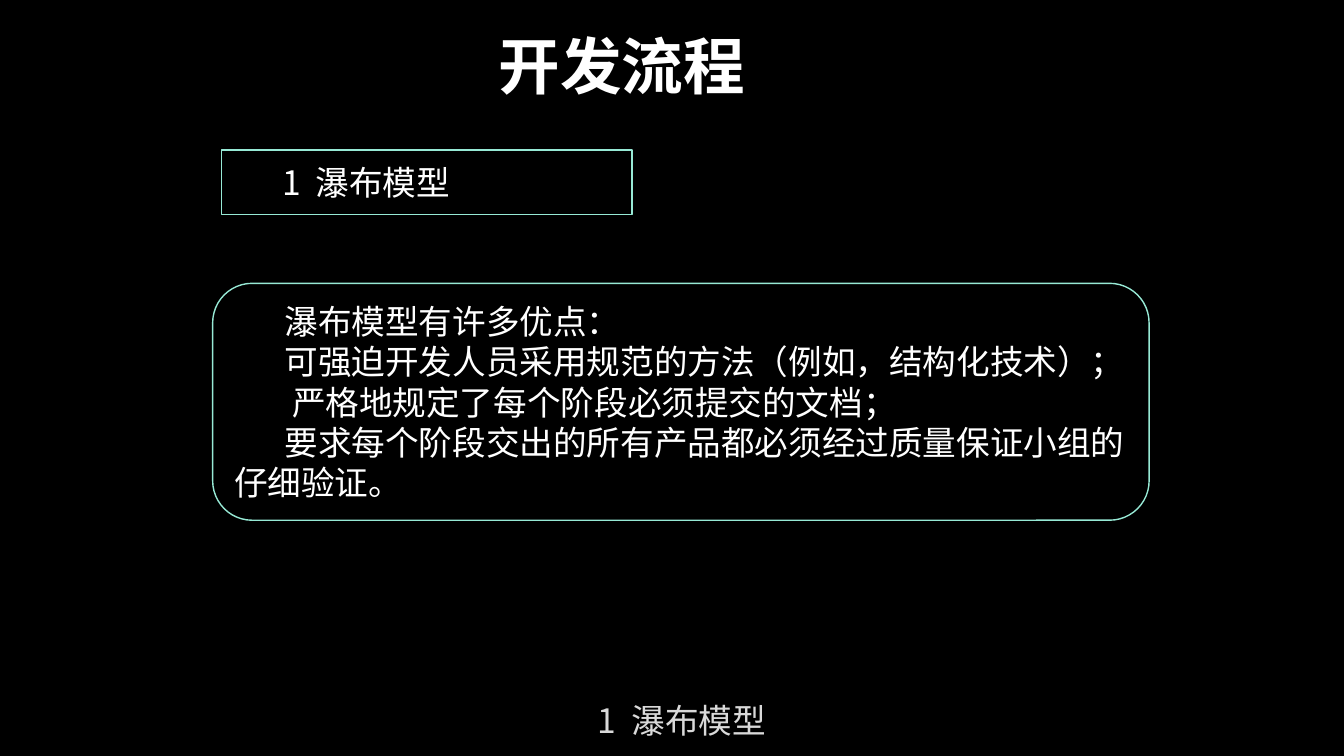
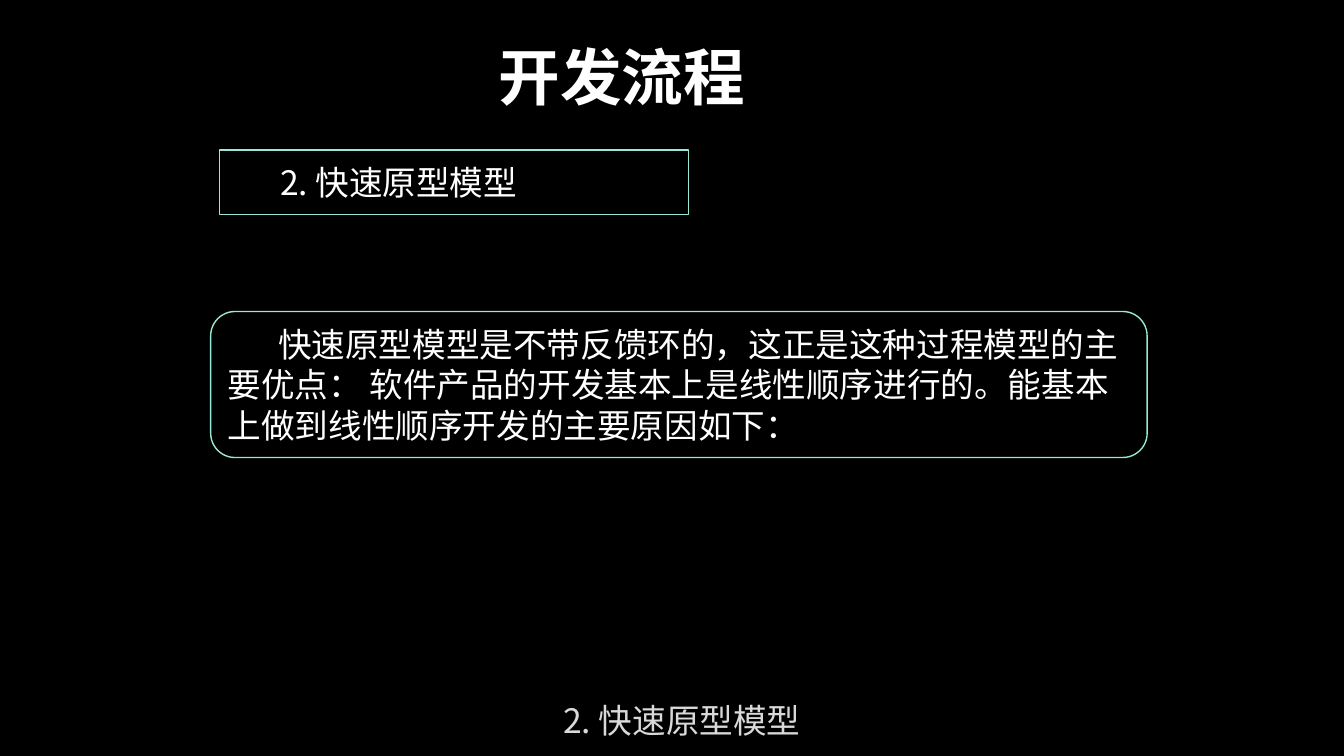
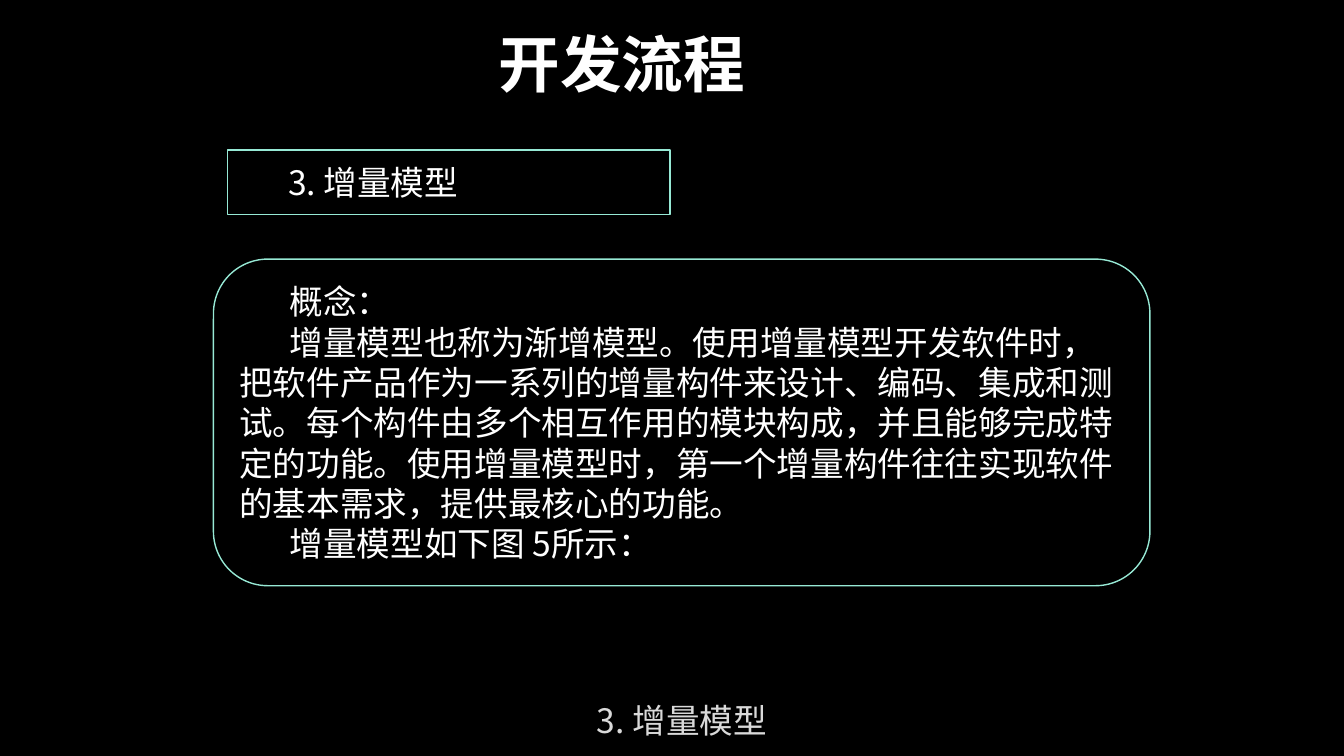
from pptx import Presentation
from pptx.dml.color import RGBColor
from pptx.enum.shapes import MSO_SHAPE
from pptx.enum.text import MSO_ANCHOR, PP_ALIGN
from pptx.oxml.xmlchemy import OxmlElement
from pptx.util import Cm, Pt

RECTANGLE = MSO_SHAPE.RECTANGLE
ROUNDED = MSO_SHAPE.ROUNDED_RECTANGLE
MIDDLE = MSO_ANCHOR.MIDDLE
LEFT, CENTER = PP_ALIGN.LEFT, PP_ALIGN.CENTER

COLORS = {"background": "000000", "text": "FFFFFF", "footer": "D9D9D9", "line": "97E9D5"}
FONT = "Noto Sans CJK SC"
TITLE = "开发流程"
INDENT = 1.27
BODY_LINE = Pt(28.8)

SLIDES = [
    {
        "title_top": 0.05,
        "heading": "1  瀑布模型",
        "heading_box": (5.59, 3.78, 10.34, 1.63),
        "body_box": (5.36, 7.14, 23.6, 5.97),
        "body": [
            "瀑布模型有许多优点：",
            "可强迫开发人员采用规范的方法（例如，结构化技术）；",
            " 严格地规定了每个阶段必须提交的文档；",
            "要求每个阶段交出的所有产品都必须经过质量保证小组的仔细验证。",
        ],
    },
    {
        "title_top": 0.33,
        "heading": "2. 快速原型模型",
        "heading_box": (5.54, 3.78, 11.81, 1.63),
        "body_box": (5.31, 7.85, 23.6, 3.68),
        "body": [
            "快速原型模型是不带反馈环的，这正是这种过程模型的主要优点： "
            "软件产品的开发基本上是线性顺序进行的。能基本上做到线性顺序开发的主要原因如下：",
        ],
    },
    {
        "title_top": 0,
        "heading": "3. 增量模型",
        "heading_box": (5.74, 3.78, 11.15, 1.63),
        "body_box": (5.38, 6.53, 23.6, 8.23),
        "body": [
            "概念：",
            "增量模型也称为渐增模型。使用增量模型开发软件时，把软件产品作为一系列的增量构件来设计、"
            "编码、集成和测试。每个构件由多个相互作用的模块构成，并且能够完成特定的功能。"
            "使用增量模型时，第一个增量构件往往实现软件的基本需求，提供最核心的功能。",
            "增量模型如下图 5所示：",
        ],
    },
]


def color(name):
    """Return a palette colour."""
    return RGBColor.from_string(COLORS[name])


def write(shape, lines, size=24, color_name="text", bold=False,
          align=CENTER, indent=0, line_spacing=None):
    """Fill a shape with vertically centred paragraphs."""
    frame = shape.text_frame
    frame.word_wrap = True
    frame.vertical_anchor = MIDDLE
    frame.text = "\n".join(lines)
    for paragraph in frame.paragraphs:
        paragraph.alignment = align
        paragraph.line_spacing = line_spacing
        if indent:
            paragraph._p.get_or_add_pPr().set("indent", str(Cm(indent)))
        for run in paragraph.runs:
            font = run.font
            font.name, font.size, font.bold = FONT, Pt(size), bold
            font.color.rgb = color(color_name)
            east_asian = OxmlElement("a:ea")
            east_asian.set("typeface", FONT)
            run._r.get_or_add_rPr().append(east_asian)


def add_label(slide, box, text, **style):
    """Add a centred line of text."""
    write(slide.shapes.add_textbox(*map(Cm, box)), [text], **style)


def add_panel(slide, kind, box, lines, line_spacing=None):
    """Add an outlined shape with indented paragraphs."""
    shape = slide.shapes.add_shape(kind, *map(Cm, box))
    shape.shadow.inherit = False
    shape.fill.background()
    shape.line.color.rgb = color("line")
    shape.line.width = Pt(1)
    write(shape, lines, align=LEFT, indent=INDENT, line_spacing=line_spacing)


def add_model_slide(presentation, content):
    """Add a slide about one development model."""
    slide = presentation.slides.add_slide(presentation.slide_layouts[6])
    heading = content["heading"]
    add_panel(slide, ROUNDED, content["body_box"], content["body"], BODY_LINE)
    add_label(slide, (4.24, content["title_top"], 22.86, 3.18), TITLE, size=44, bold=True)
    add_panel(slide, RECTANGLE, content["heading_box"], [heading])
    add_label(slide, (11.99, 17.48, 10.39, 1.32), heading, color_name="footer")


def main():
    """Build and save the presentation."""
    presentation = Presentation()
    presentation.slide_width, presentation.slide_height = Cm(33.87), Cm(19.05)
    background = presentation.slide_master.background.fill
    background.solid()
    background.fore_color.rgb = color("background")
    for content in SLIDES:
        add_model_slide(presentation, content)
    presentation.save("out.pptx")


if __name__ == "__main__":
    main()
